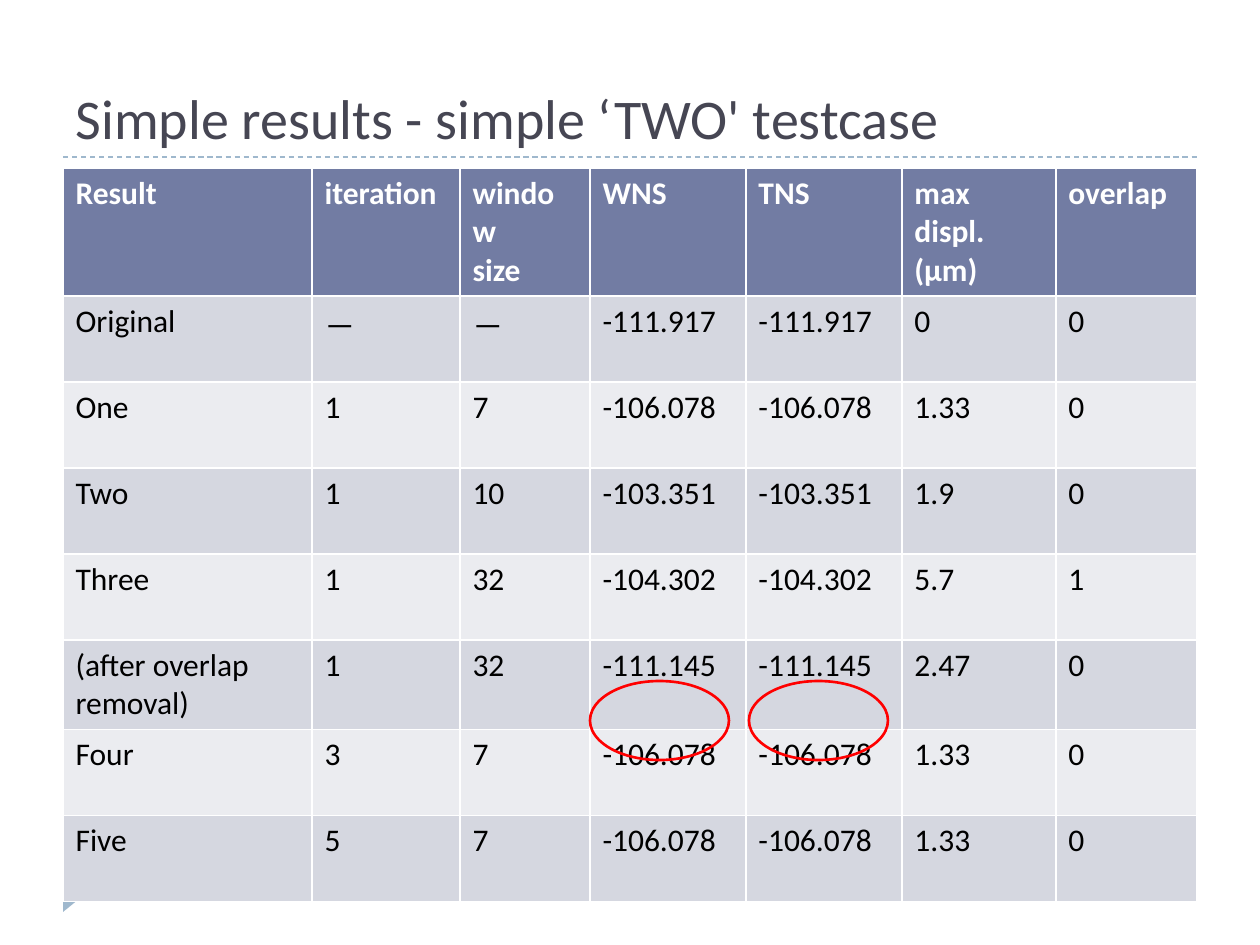
import pptx
import pptx.dml.color
import pptx.enum.dml
import pptx.enum.shapes
import pptx.enum.text
import pptx.oxml.ns
import pptx.util
from lxml import etree

TITLE = "Simple results - simple ‘TWO' testcase"
HEADER = ("Result", "iteration", "window\vsize", "WNS", "TNS", "max displ. (μm)", "overlap")
RESULTS = [
    ("Original", "－", "－", "-111.917", "-111.917", "0", "0"),
    ("One", "1", "7", "-106.078", "-106.078", "1.33", "0"),
    ("Two", "1", "10", "-103.351", "-103.351", "1.9", "0"),
    ("Three", "1", "32", "-104.302", "-104.302", "5.7", "1"),
    ("(after overlap removal)", "1", "32", "-111.145", "-111.145", "2.47", "0"),
    ("Four", "3", "7", "-106.078", "-106.078", "1.33", "0"),
    ("Five", "5", "7", "-106.078", "-106.078", "1.33", "0"),
]
COLORS = {
    "title": "464653", "rule": "9FB8CD", "header": "727CA3", "header_text": "FFFFFF",
    "odd": "D5D7E0", "even": "EBECF0", "text": "000000", "highlight": "FF0000",
}
FONT = "Calibri"
LEFT, WIDTH = 63, 1134
RULE_TOPS = (876, 157)
TABLE_TOP, ROW_HEIGHT = 168, 86
COLUMN_WIDTHS = (249, 148, 130, 156, 156, 154, 141)
HIGHLIGHT_LEFTS = (590, 749)
HIGHLIGHT_TOP, HIGHLIGHT_WIDTH, HIGHLIGHT_HEIGHT = 681, 139, 79


def px(value):
    return pptx.util.Emu(round(value * 914400 / 126))


def color(name):
    return pptx.dml.color.RGBColor.from_string(COLORS[name])


def style_font(font, size, color_name, bold=False):
    font.name = FONT
    font.size = pptx.util.Pt(size)
    font.bold = bold
    font.color.rgb = color(color_name)


def add_title(slide):
    title = slide.shapes.title
    title.left, title.top, title.width, title.height = px(LEFT), px(21), px(WIDTH), px(136)
    title.text_frame.text = TITLE
    title.text_frame.vertical_anchor = pptx.enum.text.MSO_ANCHOR.BOTTOM
    paragraph = title.text_frame.paragraphs[0]
    paragraph.alignment = pptx.enum.text.PP_ALIGN.LEFT
    style_font(paragraph.font, 32, "title")


def add_rule(slide, top):
    rule = slide.shapes.add_connector(
        pptx.enum.shapes.MSO_CONNECTOR.STRAIGHT, px(LEFT), px(top), px(LEFT + WIDTH), px(top))
    rule.line.color.rgb = color("rule")
    rule.line.width = pptx.util.Pt(0.75)
    rule.line.dash_style = pptx.enum.dml.MSO_LINE.DASH
    etree.SubElement(rule._element.spPr, pptx.oxml.ns.qn("a:effectLst"))


def add_corner_marker(slide):
    marker = slide.shapes.add_shape(
        pptx.enum.shapes.MSO_SHAPE.ISOSCELES_TRIANGLE, px(58), px(891), px(26), px(16))
    marker.rotation = 90
    marker.shadow.inherit = False
    marker.fill.solid()
    marker.fill.fore_color.rgb = color("rule")
    marker.line.fill.background()


def add_results_table(slide):
    rows = [HEADER] + RESULTS
    table = slide.shapes.add_table(
        len(rows), len(HEADER), px(LEFT), px(TABLE_TOP), px(WIDTH), px(ROW_HEIGHT * len(rows))).table
    for column, width in zip(table.columns, COLUMN_WIDTHS):
        column.width = px(width)
    for row_index, values in enumerate(rows):
        table.rows[row_index].height = px(ROW_HEIGHT)
        is_header = row_index == 0
        fill = "header" if is_header else ("odd" if row_index % 2 else "even")
        for column_index, value in enumerate(values):
            cell = table.cell(row_index, column_index)
            cell.text = value
            cell.fill.solid()
            cell.fill.fore_color.rgb = color(fill)
            style_font(cell.text_frame.paragraphs[0].font, 18,
                       "header_text" if is_header else "text", is_header)


def add_highlight(slide, left):
    ellipse = slide.shapes.add_shape(
        pptx.enum.shapes.MSO_SHAPE.OVAL,
        px(left), px(HIGHLIGHT_TOP), px(HIGHLIGHT_WIDTH), px(HIGHLIGHT_HEIGHT))
    ellipse.shadow.inherit = False
    ellipse.fill.background()
    ellipse.line.color.rgb = color("highlight")
    ellipse.line.width = pptx.util.Pt(1.5)


def main():
    presentation = pptx.Presentation()
    presentation.slide_width, presentation.slide_height = px(1260), px(945)
    slide = presentation.slides.add_slide(presentation.slide_layouts[5])
    add_title(slide)
    for top in RULE_TOPS:
        add_rule(slide, top)
    add_corner_marker(slide)
    add_results_table(slide)
    for left in HIGHLIGHT_LEFTS:
        add_highlight(slide, left)
    presentation.save("out.pptx")


if __name__ == "__main__":
    main()
